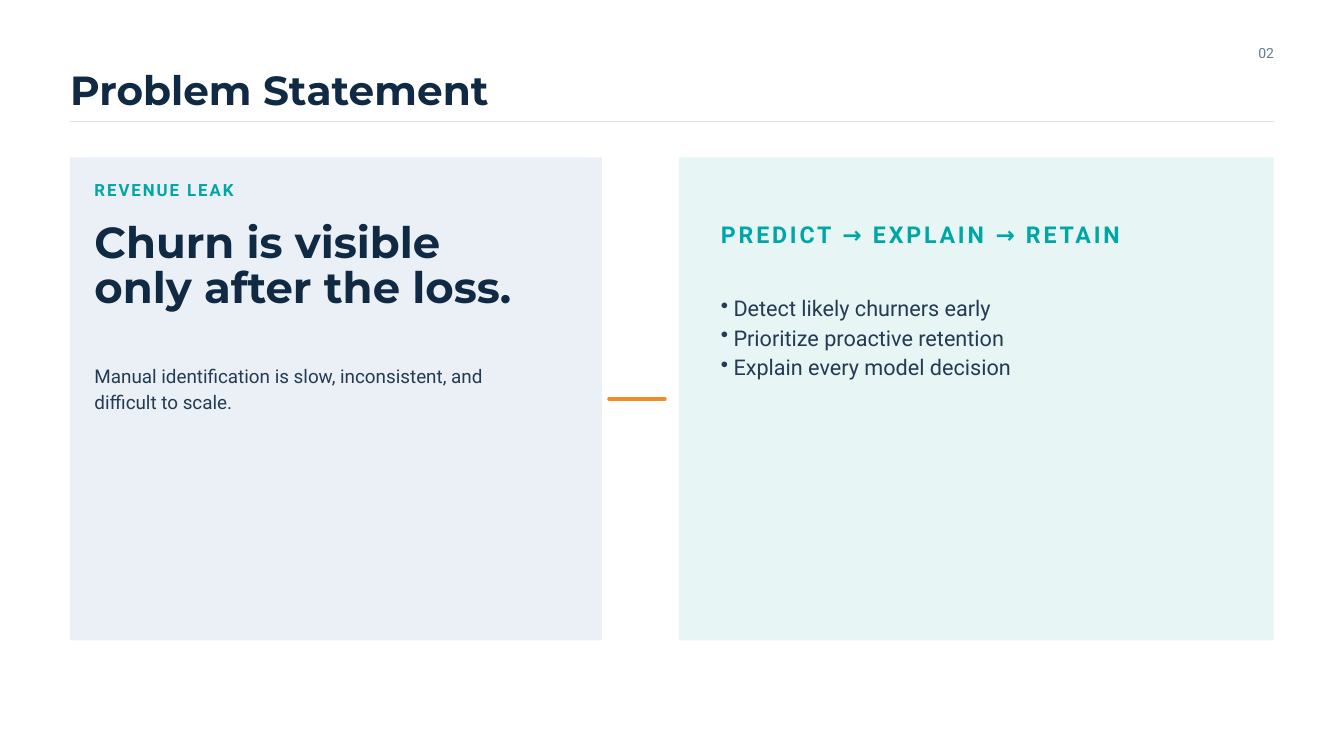
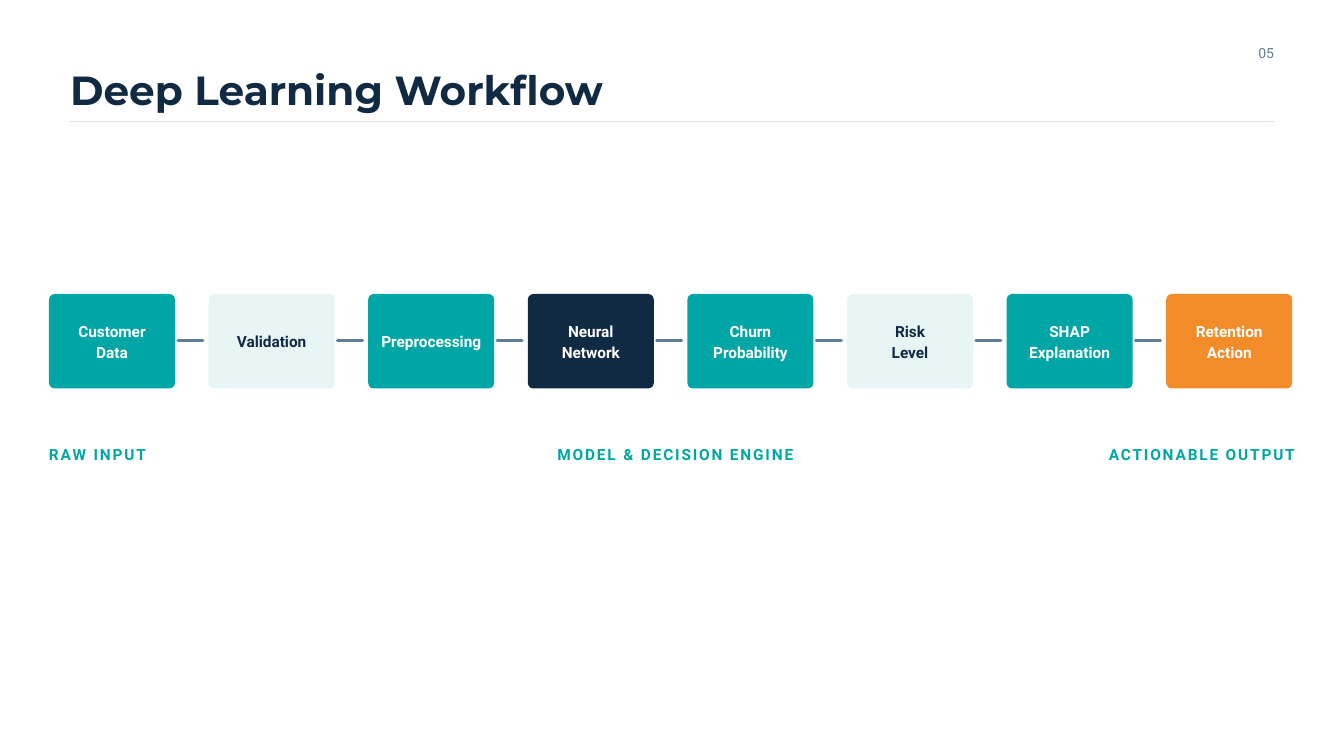
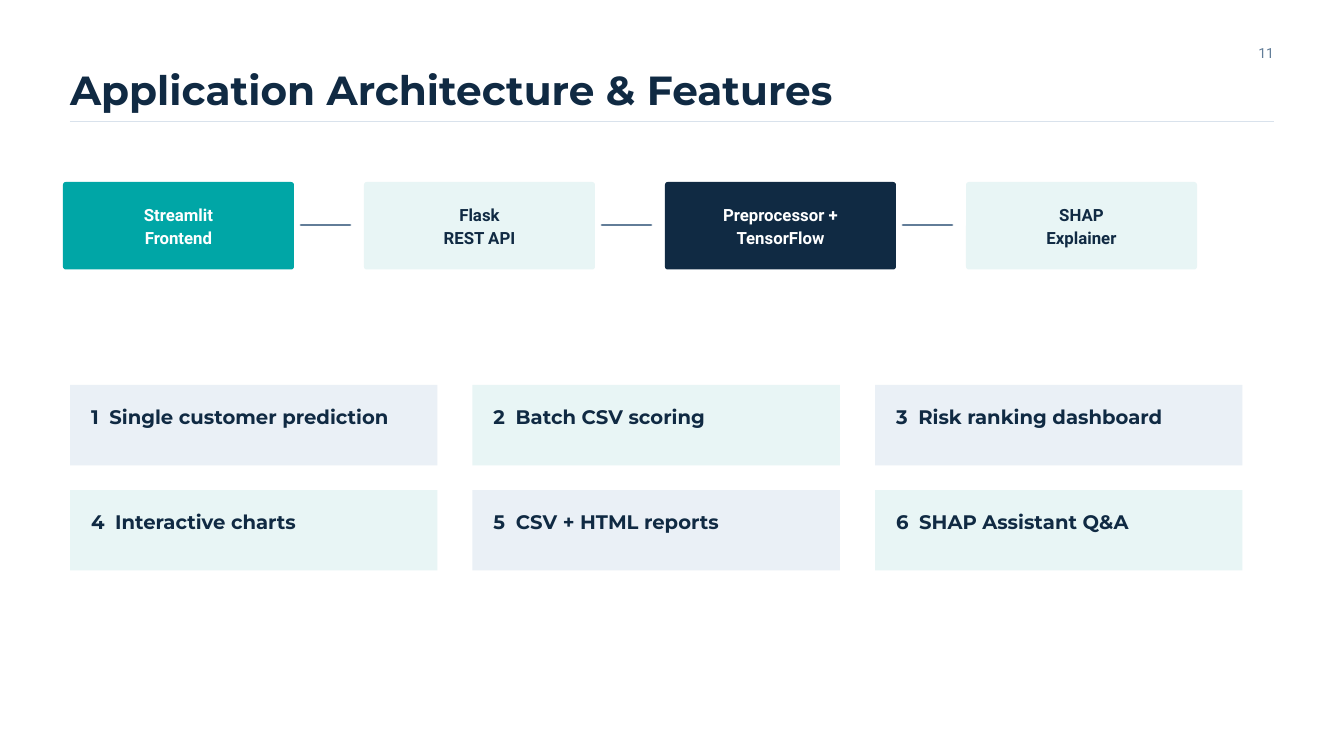
from dataclasses import dataclass
from itertools import pairwise

from lxml import etree
from pptx import Presentation
from pptx.dml.color import RGBColor
from pptx.enum.shapes import MSO_CONNECTOR, MSO_SHAPE
from pptx.enum.text import MSO_ANCHOR, PP_ALIGN
from pptx.oxml.ns import qn
from pptx.shapes.autoshape import Shape
from pptx.slide import Slide
from pptx.text.text import TextFrame
from pptx.util import Inches, Pt

# The slide is a grid of 1920 columns by 1080 rows.
SLIDE_W, SLIDE_H = Inches(20), Inches(11.25)
COLUMNS, ROWS = 1920, 1080
UNIT = SLIDE_W // COLUMNS

NAVY = RGBColor(0x10, 0x2A, 0x43)
INK = RGBColor(0x24, 0x3B, 0x53)
SLATE = RGBColor(0x62, 0x7D, 0x98)
TEAL = RGBColor(0x00, 0xA6, 0xA6)
ORANGE = RGBColor(0xF2, 0x8C, 0x28)
MIST = RGBColor(0xEA, 0xF0, 0xF6)
MINT = RGBColor(0xE8, 0xF5, 0xF5)
RULE = RGBColor(0xD9, 0xE2, 0xEC)
WHITE = RGBColor(0xFF, 0xFF, 0xFF)

HEADING_FONT, BODY_FONT = "Montserrat", "Roboto"
LEFT, CENTER, RIGHT = PP_ALIGN.LEFT, PP_ALIGN.CENTER, PP_ALIGN.RIGHT
TOP, MIDDLE = MSO_ANCHOR.TOP, MSO_ANCHOR.MIDDLE
RECTANGLE, ROUNDED = MSO_SHAPE.RECTANGLE, MSO_SHAPE.ROUNDED_RECTANGLE
STRAIGHT = MSO_CONNECTOR.STRAIGHT

MARGIN_LEFT, MARGIN_RIGHT = 100, COLUMNS - 100
BULLET_INDENT = 18


@dataclass(frozen=True)
class Box:
    """A place on the grid, in columns and rows."""
    left: float
    top: float
    width: float
    height: float

    @property
    def right(self) -> float:
        return self.left + self.width

    def emu(self) -> tuple[int, ...]:
        return tuple(units(n) for n in (self.left, self.top, self.width, self.height))


@dataclass(frozen=True)
class Step:
    label: str
    fill: RGBColor


@dataclass(frozen=True)
class FlowStyle:
    first: Box
    pitch: float
    radius: float
    link_gap: float
    link_length: float
    size: float
    leading: float


def units(count: float) -> int:
    return round(count * UNIT)


def write(frame: TextFrame, text: str, *, size: float, color: RGBColor, leading: float,
          font: str = BODY_FONT, bold: bool = False, align: PP_ALIGN = LEFT,
          anchor: MSO_ANCHOR = TOP, spacing: float = 0, bulleted: bool = False,
          number: str = "", insets: tuple[float, ...] = (0, 0, 0, 0)) -> None:
    """Fill a frame, one paragraph a line; insets are left, top, right, bottom."""
    frame.word_wrap = True
    frame.vertical_anchor = anchor
    (frame.margin_left, frame.margin_top,
     frame.margin_right, frame.margin_bottom) = map(units, insets)
    for index, line in enumerate(text.split("\n")):
        paragraph = frame.add_paragraph() if index else frame.paragraphs[0]
        paragraph.alignment = align
        paragraph.line_spacing = Pt(leading)
        if bulleted:
            add_bullet(paragraph._p.get_or_add_pPr())
        pieces = [(number, 0), (" ", 5.5)] if number else []
        for words, tracking in [*pieces, (line, spacing)]:
            run = paragraph.add_run()
            run.text = words
            run.font.name, run.font.size = font, Pt(size)
            run.font.bold, run.font.color.rgb = bold, color
            if tracking:
                run._r.get_or_add_rPr().set("spc", str(round(tracking * 100)))


def add_bullet(properties: etree._Element) -> None:
    properties.set("marL", str(units(BULLET_INDENT)))
    properties.set("indent", str(-units(BULLET_INDENT)))
    etree.SubElement(properties, qn("a:buChar")).set("char", "•")


def add_text(slide: Slide, box: Box, text: str, **style) -> None:
    write(slide.shapes.add_textbox(*box.emu()).text_frame, text, **style)


def add_panel(slide: Slide, box: Box, fill: RGBColor, radius: float = 0) -> Shape:
    panel = slide.shapes.add_shape(ROUNDED if radius else RECTANGLE, *box.emu())
    if radius:
        panel.adjustments[0] = radius / min(box.width, box.height)
    panel.shadow.inherit = False
    panel.fill.solid()
    panel.fill.fore_color.rgb = fill
    panel.line.fill.background()
    return panel


def add_rule(slide: Slide, start: float, end: float, row: float,
             color: RGBColor, weight: float, cap: str = "rnd") -> None:
    """Draw a horizontal line between two columns."""
    rule = slide.shapes.add_connector(
        STRAIGHT, units(start), units(row), units(end), units(row))
    rule.line.color.rgb = color
    rule.line.width = Pt(weight)
    rule.line._get_or_add_ln().set("cap", cap)
    etree.SubElement(rule._element.spPr, qn("a:effectLst"))


def add_titled_slide(deck: Presentation, title: str, page: str) -> Slide:
    slide = deck.slides.add_slide(deck.slide_layouts[6])
    add_text(slide, Box(MARGIN_LEFT, 101, 1450, 61), title, size=43.5, color=NAVY,
             leading=45.7, font=HEADING_FONT, bold=True)
    add_text(slide, Box(MARGIN_RIGHT - 90, 59, 90, 27), page, size=15, color=SLATE,
             leading=21, align=RIGHT)
    add_rule(slide, MARGIN_LEFT, MARGIN_RIGHT, 174, RULE, 1.5, cap="flat")
    return slide


def add_flow(slide: Slide, steps: list[Step], style: FlowStyle) -> None:
    """Draw the steps in a row, with a short line in each gap."""
    first = style.first
    boxes = [Box(first.left + i * style.pitch, first.top, first.width, first.height)
             for i in range(len(steps))]
    for step, box in zip(steps, boxes):
        panel = add_panel(slide, box, step.fill, style.radius)
        write(panel.text_frame, step.label, size=style.size, leading=style.leading,
              color=NAVY if step.fill == MINT else WHITE, bold=True,
              align=CENTER, anchor=MIDDLE, insets=(6, 3, 6, 6))
    for box, _ in pairwise(boxes):
        start = box.right + style.link_gap
        add_rule(slide, start, start + style.link_length,
                 box.top + box.height / 2 - 1, SLATE, 3)


def build_problem(deck: Presentation) -> None:
    slide = add_titled_slide(deck, "Problem Statement", "02")
    problem = Box(MARGIN_LEFT, 225, 760, 690)
    answer = Box(970, 225, 850, 690)
    add_panel(slide, problem, MIST)
    add_panel(slide, answer, MINT)

    inner = problem.left + 35
    add_text(slide, Box(inner, 251.5, 620, 32), "REVENUE LEAK", size=18, color=TEAL,
             leading=25.2, bold=True, spacing=2.1)
    add_text(slide, Box(inner, 316, 650, 133), "Churn is visible\nonly after the loss.",
             size=46.5, color=NAVY, leading=48.8, font=HEADING_FONT, bold=True)
    add_text(slide, Box(inner, 517, 610, 70),
             "Manual identification is slow, inconsistent, and difficult to scale.",
             size=20.2, color=INK, leading=27.3)

    add_rule(slide, problem.right + 10, answer.left - 20,
             problem.top + problem.height / 2, ORANGE, 3.75)

    inner = answer.left + 60
    add_text(slide, Box(inner, 309, 650, 43), "PREDICT → EXPLAIN → RETAIN", size=24.8,
             color=TEAL, leading=34.6, bold=True, spacing=3)
    add_text(slide, Box(inner, 417, 650, 121),
             "Detect likely churners early\nPrioritize proactive retention\n"
             "Explain every model decision",
             size=23.2, color=INK, leading=31.4, bulleted=True)


def build_workflow(deck: Presentation) -> None:
    slide = add_titled_slide(deck, "Deep Learning Workflow", "05")
    steps = [
        Step("Customer\nData", TEAL),
        Step("Validation", MINT),
        Step("Preprocessing", TEAL),
        Step("Neural\nNetwork", NAVY),
        Step("Churn\nProbability", TEAL),
        Step("Risk\nLevel", MINT),
        Step("SHAP\nExplanation", TEAL),
        Step("Retention\nAction", ORANGE),
    ]
    add_flow(slide, steps, FlowStyle(Box(70, 420, 180, 135), pitch=228, radius=8,
                                     link_gap=4, link_length=36, size=16.5, leading=23.1))
    stages = [("RAW INPUT", 70, 420, LEFT),
              ("MODEL & DECISION ENGINE", 690, 550, CENTER),
              ("ACTIONABLE OUTPUT", 1430, 420, RIGHT)]
    for stage, left, width, align in stages:
        add_text(slide, Box(left, 631, width, 30), stage, size=16.5, color=TEAL,
                 leading=23.1, bold=True, align=align, spacing=2)


def build_architecture(deck: Presentation) -> None:
    slide = add_titled_slide(deck, "Application Architecture & Features", "11")
    layers = [
        Step("Streamlit\nFrontend", TEAL),
        Step("Flask\nREST API", MINT),
        Step("Preprocessor +\nTensorFlow", NAVY),
        Step("SHAP\nExplainer", MINT),
    ]
    add_flow(slide, layers, FlowStyle(Box(90, 260, 330, 125), pitch=430, radius=4,
                                      link_gap=10, link_length=70, size=18, leading=25.2))
    features = ["Single customer prediction", "Batch CSV scoring", "Risk ranking dashboard",
                "Interactive charts", "CSV + HTML reports", "SHAP Assistant Q&A"]
    for index, feature in enumerate(features):
        row, column = divmod(index, 3)
        card = Box(MARGIN_LEFT + 575 * column, 550 + 150 * row, 525, 115)
        panel = add_panel(slide, card, MINT if index % 2 else MIST)
        write(panel.text_frame, feature, number=str(index + 1), size=21, color=NAVY,
              leading=22.1, font=HEADING_FONT, bold=True, insets=(30, 33, 20, 0))


def main() -> None:
    deck = Presentation()
    deck.slide_width, deck.slide_height = SLIDE_W, SLIDE_H
    build_problem(deck)
    build_workflow(deck)
    build_architecture(deck)
    deck.save("out.pptx")


if __name__ == "__main__":
    main()
